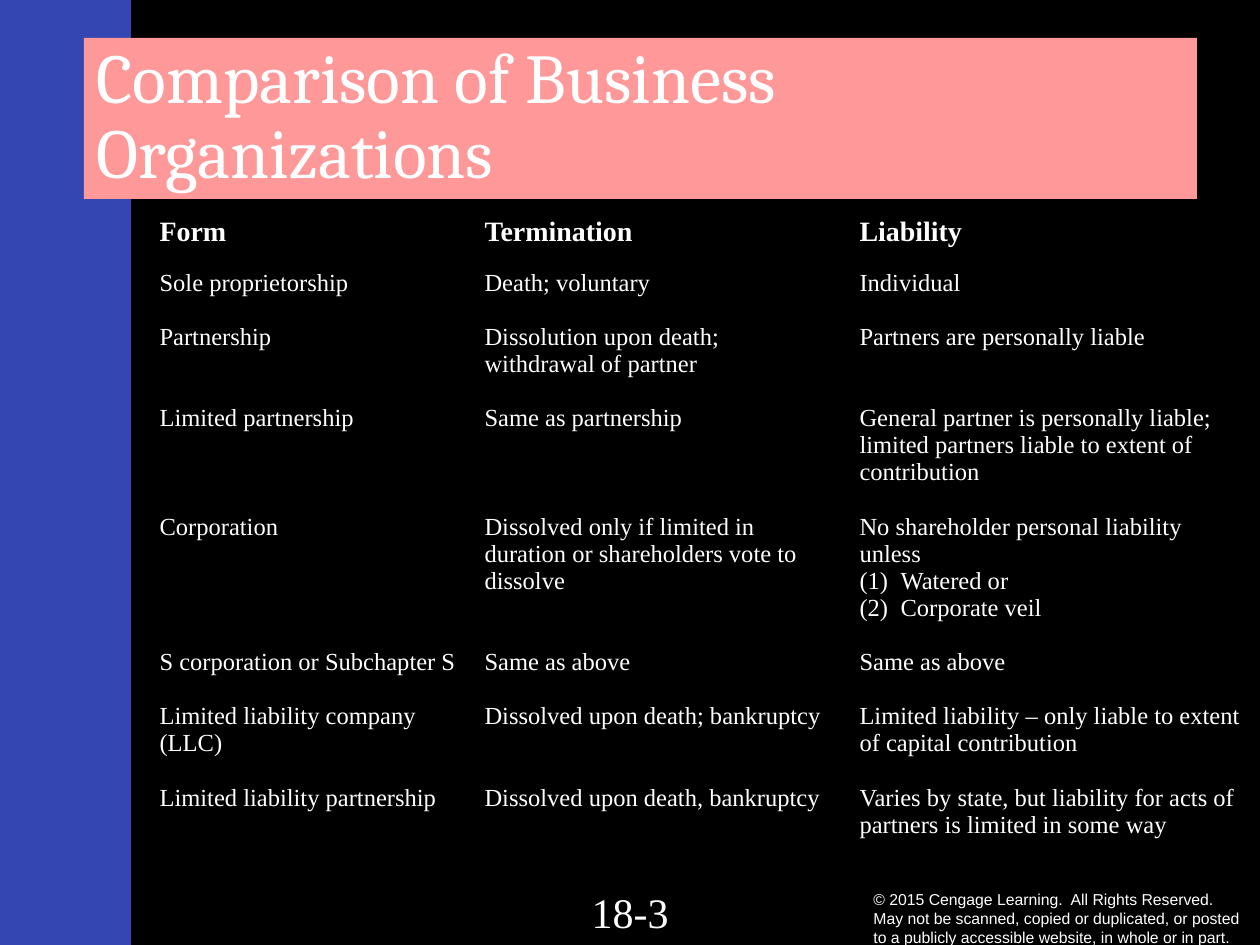
from lxml.etree import SubElement
from pptx import Presentation
from pptx.dml.color import RGBColor
from pptx.enum.shapes import MSO_SHAPE as Shape
from pptx.enum.text import MSO_ANCHOR as Anchor, MSO_AUTO_SIZE as Fit, PP_ALIGN as Align
from pptx.oxml.ns import qn
from pptx.util import Pt

BLUE = RGBColor(0x33, 0x46, 0xB1)
BLACK = RGBColor(0, 0, 0)
PINK = RGBColor(0xFF, 0x99, 0x99)
WHITE = RGBColor(0xFF, 0xFF, 0xFF)
SERIF = "Times New Roman"
LINE = 15.5


def px(n):
    return round(n * 914400 / 126)


def style(para, name, size, bold=False):
    font = para.font
    font.name, font.size, font.bold = name, Pt(size), bold
    font.color.rgb = WHITE


prs = Presentation()
prs.slide_width, prs.slide_height = px(1260), px(945)
slide = prs.slides.add_slide(prs.slide_layouts[5])
shapes = slide.shapes
back = slide.background.fill
back.solid()
back.fore_color.rgb = BLUE

panel = shapes.add_shape(Shape.RECTANGLE, px(131), 0, px(1129), px(945))
panel.shadow.inherit = False
panel.fill.solid()
panel.fill.fore_color.rgb = BLACK
panel.line.fill.background()

notice = ("© 2015 Cengage Learning.  All Rights Reserved.  May not be scanned, copied or duplicated, "
          "or posted to a publicly accessible website, in whole or in part.")
for text, area, name, size, align in [
    (notice, (861, 883, 399, 71), "Arial", 9, Align.LEFT),
    ("18-3", (483, 879, 294, 66), SERIF, 24, Align.CENTER),
]:
    frame = shapes.add_textbox(*map(px, area)).text_frame
    frame.word_wrap = True
    frame.vertical_anchor = Anchor.MIDDLE
    para = frame.paragraphs[0]
    para.text, para.alignment = text, align
    style(para, name, size)

# Each entry gives the empty lines above it; a None entry is numbered.
cols = [
    ("Form", 325, [
        (0, "Sole proprietorship"),
        (1, "Partnership"),
        (2, "Limited partnership"),
        (3, "Corporation"),
        (4, "S corporation or Subchapter S"),
        (1, "Limited liability company (LLC)"),
        (1, "Limited liability partnership"),
    ]),
    ("Termination", 375, [
        (0, "Death; voluntary"),
        (1, "Dissolution upon death; withdrawal of partner"),
        (1, "Same as partnership"),
        (3, "Dissolved only if limited in duration or shareholders vote to dissolve"),
        (2, "Same as above"),
        (1, "Dissolved upon death; bankruptcy"),
        (2, "Dissolved upon death, bankruptcy"),
    ]),
    ("Liability", 412, [
        (0, "Individual"),
        (1, "Partners are personally liable"),
        (2, "General partner is personally liable; limited partners liable to extent of contribution"),
        (1, "No shareholder personal liability unless"),
        (None, "Watered or"),
        (None, "Corporate veil"),
        (1, "Same as above"),
        (1, "Limited liability – only liable to extent of capital contribution"),
        (1, "Varies by state, but liability for acts of partners is limited in some way"),
    ]),
]
grid = shapes.add_table(2, 3, px(147), px(210), px(1112), px(718))
for tag in grid.element.iter(qn("a:tableStyleId")):
    tag.text = "{2D5ABB26-0587-4C30-8999-92F81FD0307C}"
table = grid.table
table.first_row = table.horz_banding = False
table.rows[0].height, table.rows[1].height = px(53), px(665)
for c, (head, width, items) in enumerate(cols):
    table.columns[c].width = px(width)
    top, body = table.cell(0, c), table.cell(1, c)
    top.fill.background()
    body.fill.background()
    top.text = head
    style(top.text_frame.paragraphs[0], SERIF, 16, True)
    frame = body.text_frame
    frame.text = "\n".join(text for gap, text in items)
    for para, (gap, text) in zip(frame.paragraphs, items):
        if gap is None:
            props = para._p.get_or_add_pPr()
            props.set("marL", str(px(41)))
            props.set("indent", str(-px(41)))
            SubElement(props, qn("a:buAutoNum"), type="arabicParenBoth")
        para.space_before = Pt(LINE * (gap or 0))
        style(para, SERIF, 14)

title = shapes.title
shapes.element.append(title.element)
title.left, title.top, title.width, title.height = map(px, (84, 38, 1113, 161))
title.fill.solid()
title.fill.fore_color.rgb = PINK
frame = title.text_frame
frame.text = "Comparison of Business Organizations"
frame.word_wrap = True
frame.auto_size = Fit.NONE
frame.vertical_anchor = Anchor.MIDDLE
para = frame.paragraphs[0]
para.alignment, para.line_spacing = Align.LEFT, 0.9
style(para, "Cambria", 40)

prs.save("out.pptx")
